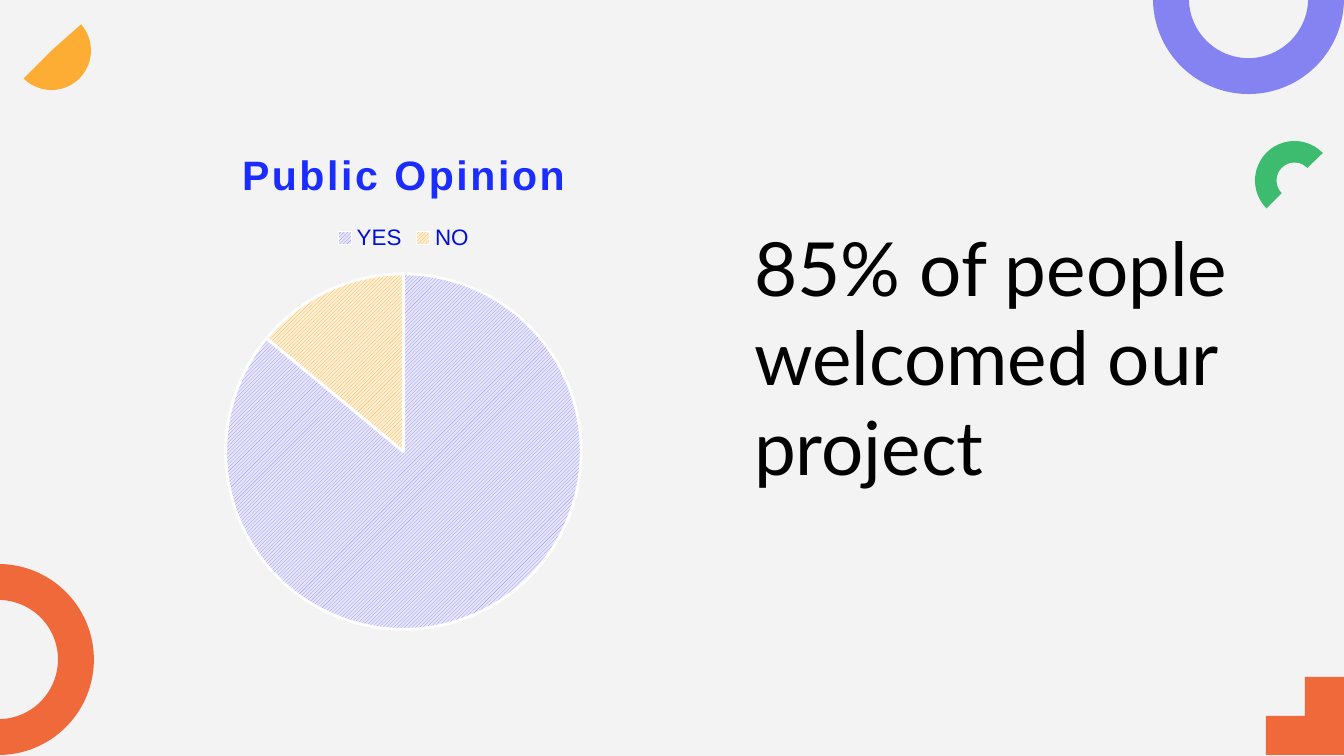
from pptx import Presentation
from pptx.chart.data import CategoryChartData
from pptx.dml.color import RGBColor
from pptx.enum.chart import XL_CHART_TYPE as CHART, XL_LEGEND_POSITION as LEGEND
from pptx.enum.dml import MSO_PATTERN as PATTERN
from pptx.enum.shapes import MSO_SHAPE as SHAPE
from pptx.enum.text import MSO_AUTO_SIZE as AUTO_SIZE
from pptx.util import Pt

PX = 914400 / 134.4


def color(value):
    return RGBColor.from_string(value)


def write(frame, text, size, ink, face, bold=False, spacing=0):
    run = frame.paragraphs[0].add_run()
    run.text = text
    run.font.size = Pt(size)
    run.font.name = face
    run.font.bold = bold
    run.font.color.rgb = color(ink)
    if spacing:
        run.font._element.set("spc", str(spacing))


presentation = Presentation()
presentation.slide_width = round(1344 * PX)
presentation.slide_height = round(756 * PX)
slide = presentation.slides.add_slide(presentation.slide_layouts[6])
slide.background.fill.solid()
slide.background.fill.fore_color.rgb = color("F3F3F3")

ring = [108, 0.006, 0.188]
ornaments = [
    (SHAPE.BLOCK_ARC, -97, 564, 191, 90, True, ring, "F0693B"),
    (SHAPE.CORNER, 1266, 677, 78, 0, True, [0.5, 0.5], "F0693B"),
    (SHAPE.BLOCK_ARC, 1153, -97, 191, 180, False, ring, "8583F2"),
    (SHAPE.BLOCK_ARC, 1255, 141, 79, 315, False, [108, 0.54, 0.272], "3DBC6F"),
    (SHAPE.PIE, 12, 11, 79, 225, False, [56.115, 162], "FEAD34"),
]
for kind, left, top, side, rotation, flipped, adjustments, fill in ornaments:
    bounds = [round(length * PX) for length in (left, top, side, side)]
    shape = slide.shapes.add_shape(kind, *bounds)
    shape.rotation = rotation
    if flipped:
        shape._element.spPr.get_or_add_xfrm().set("flipH", "1")
    for index, value in enumerate(adjustments):
        shape.adjustments[index] = value
    shape.fill.solid()
    shape.fill.fore_color.rgb = color(fill)
    shape.line.fill.background()
    shape.shadow.inherit = False

opinion = CategoryChartData()
opinion.categories = ["YES", "NO"]
opinion.add_series("Public Opinion", [86, 14])
bounds = [round(length * PX) for length in (36, 124, 735, 524)]
chart = slide.shapes.add_chart(CHART.PIE, *bounds, opinion).chart
chart.font.size = Pt(10)
chart.font.name = "Arial"
chart.font.color.rgb = color("000436")

chart.has_title = True
chart.chart_title.include_in_layout = False
write(chart.chart_title.text_frame, "Public Opinion", 22, "1B2CFF", "Arial",
      bold=True, spacing=150)

chart.has_legend = True
chart.legend.position = LEGEND.TOP
chart.legend.include_in_layout = False
chart.legend.font.size = Pt(12)
chart.legend.font.name = "Arial"
chart.legend.font.color.rgb = color("0010D6")

plot = chart.plots[0]
plot.vary_by_categories = True
for index, (stripe, ground) in enumerate([("8583F2", "E7E6FC"), ("FEAD34", "FFEFD6")]):
    slice_format = plot.series[0].points[index].format
    slice_format.fill.patterned()
    slice_format.fill.pattern = PATTERN.LIGHT_UPWARD_DIAGONAL
    slice_format.fill.fore_color.rgb = color(stripe)
    slice_format.fill.back_color.rgb = color(ground)
    slice_format.line.color.rgb = color("FFFFFF")
    slice_format.line.width = Pt(1.5)

bounds = [round(length * PX) for length in (741, 215, 612, 285)]
message = slide.shapes.add_textbox(*bounds).text_frame
message.word_wrap = True
message.auto_size = AUTO_SIZE.SHAPE_TO_FIT_TEXT
write(message, "85% of people welcomed our project", 40, "000000", "Lato")

presentation.save("out.pptx")
